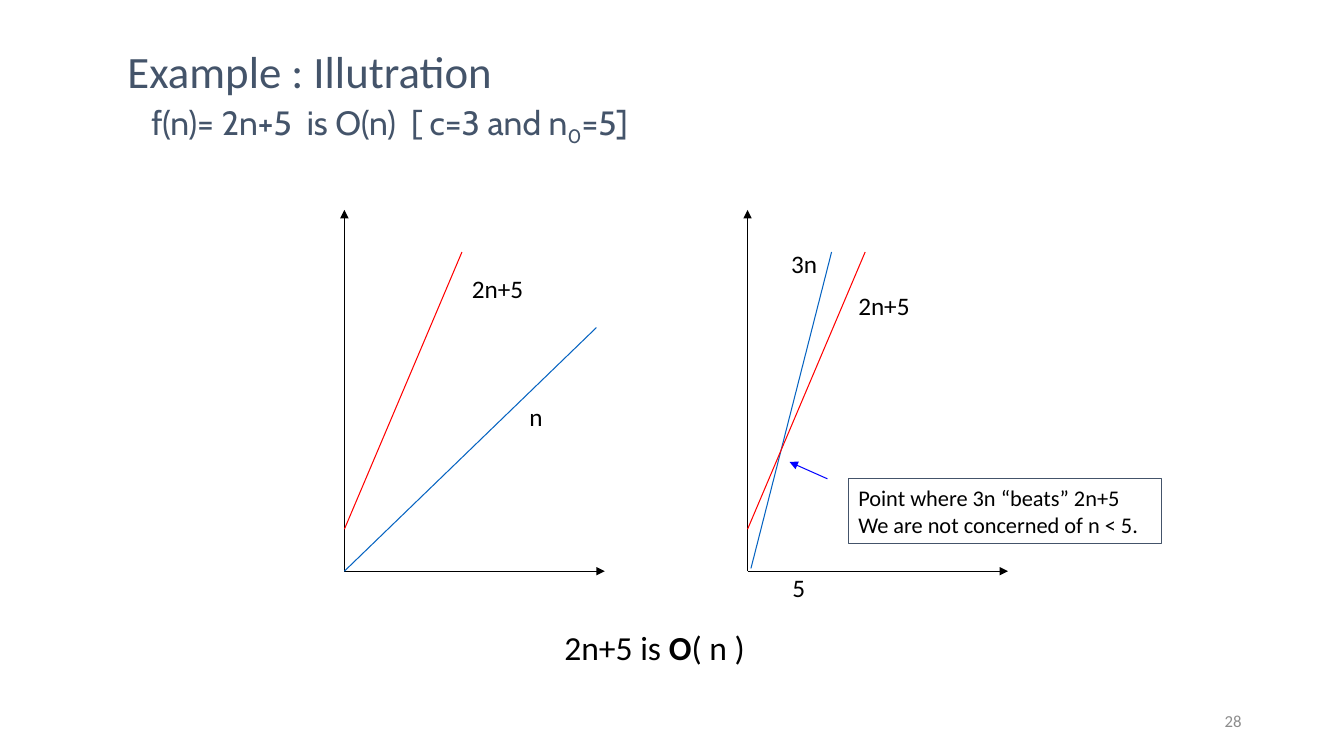
from pptx import Presentation
from pptx.dml.color import RGBColor
from pptx.enum.shapes import MSO_CONNECTOR, MSO_SHAPE
from pptx.enum.text import MSO_ANCHOR, PP_ALIGN
from pptx.oxml.ns import qn
from pptx.util import Pt
from lxml import etree

LINE, RECT = MSO_CONNECTOR.STRAIGHT, MSO_SHAPE.RECTANGLE
TOP, MID, LOW = MSO_ANCHOR.TOP, MSO_ANCHOR.MIDDLE, MSO_ANCHOR.BOTTOM
LEFT, RIGHT = PP_ALIGN.LEFT, PP_ALIGN.RIGHT
BLACK, SLATE, GREY = "000000", "44546A", "8C8C8C"
BLUE, RED, POINT = "0563C1", "FF0000", "0000FF"

BASE, RISE, SPAN = 408, 258, 186
STEEP = ((0, 30), (84, 228), RED)
GRAPHS = [
    (246, [((0, 0), (180, 174), BLUE), STEEP]),
    (534, [((2.4, 2), (60, 228), BLUE), STEEP]),
]
POINTER = ((591, 342), (564, 330))
LABELS = [
    ("2n+5", 330, 192, 52),
    ("n", 371, 283, 24),
    ("2n+5", 606, 204, 52),
    ("3n", 558, 174, 33),
    ("5", 559, 405.4, 17),
]
NOTE = [[("Point where 3n “beats” 2n+5", "")], [("We are not concerned of n < 5.", "")]]
CLAIM = [[("f(n)= 2n+5  is O(n)  [ c=3 and n", ""), ("0", "sub"), ("=5]", "")]]
RESULT = [[("2n+5 is ", ""), ("O", "bold"), ("( n )", "")]]
TITLE = [[("Example : Illutration", "")]]
NUMBER = [[("28", "")]]


def color(code):
    return RGBColor.from_string(code)


def draw(slide, start, end, hue, arrow=False):
    line = slide.shapes.add_connector(LINE, *map(Pt, start + end))
    line.line.color.rgb = color(hue)
    line.line.width = Pt(0.75)
    props = line._element.spPr
    if arrow:
        etree.SubElement(props.find(qn("a:ln")), qn("a:tailEnd"), type="triangle")
    etree.SubElement(props, qn("a:effectLst"))


def fill(shape, paras, size, hue=BLACK, font="Calibri", wrap=True, anchor=TOP, align=LEFT):
    frame = shape.text_frame
    frame.word_wrap = wrap
    frame.vertical_anchor = anchor
    for i, runs in enumerate(paras):
        para = frame.add_paragraph() if i else frame.paragraphs[0]
        para.alignment = align
        for text, style in runs:
            run = para.add_run()
            run.text = text
            run.font.size = Pt(size)
            run.font.name = font
            run.font.color.rgb = color(hue)
            run.font.bold = style == "bold"
            if style == "sub":
                run.font._element.set("baseline", "-25000")


def write(slide, box, paras, size, **look):
    fill(slide.shapes.add_textbox(*map(Pt, box)), paras, size, **look)


def main():
    deck = Presentation()
    deck.slide_width, deck.slide_height = Pt(960), Pt(540)
    slide = deck.slides.add_slide(deck.slide_layouts[6])

    for left, curves in GRAPHS:
        draw(slide, (left, BASE), (left, BASE - RISE), BLACK, True)
        draw(slide, (left, BASE), (left + SPAN, BASE), BLACK, True)
        for (x1, y1), (x2, y2), hue in curves:
            draw(slide, (left + x1, BASE - y1), (left + x2, BASE - y2), hue)

    for text, x, y, width in LABELS:
        write(slide, (x, y, width, 29), [[(text, "")]], 18, wrap=False)

    note = slide.shapes.add_shape(RECT, *map(Pt, (606, 342, 224, 46)))
    note.shadow.inherit = False
    note.fill.background()
    note.line.color.rgb = color(SLATE)
    note.line.width = Pt(0.75)
    fill(note, NOTE, 16)
    draw(slide, *POINTER, POINT, True)

    write(slide, (84, 27.4, 324, 46), TITLE, 32, hue=SLATE)
    write(slide, (101, 65, 613, 44), CLAIM, 24, hue=SLATE, font="Cabin", anchor=LOW)
    write(slide, (396, 444, 145, 36), RESULT, 24, wrap=False)
    write(slide, (678, 500.4, 216, 29), NUMBER, 12, hue=GREY, anchor=MID, align=RIGHT)
    deck.save("out.pptx")


if __name__ == "__main__":
    main()
